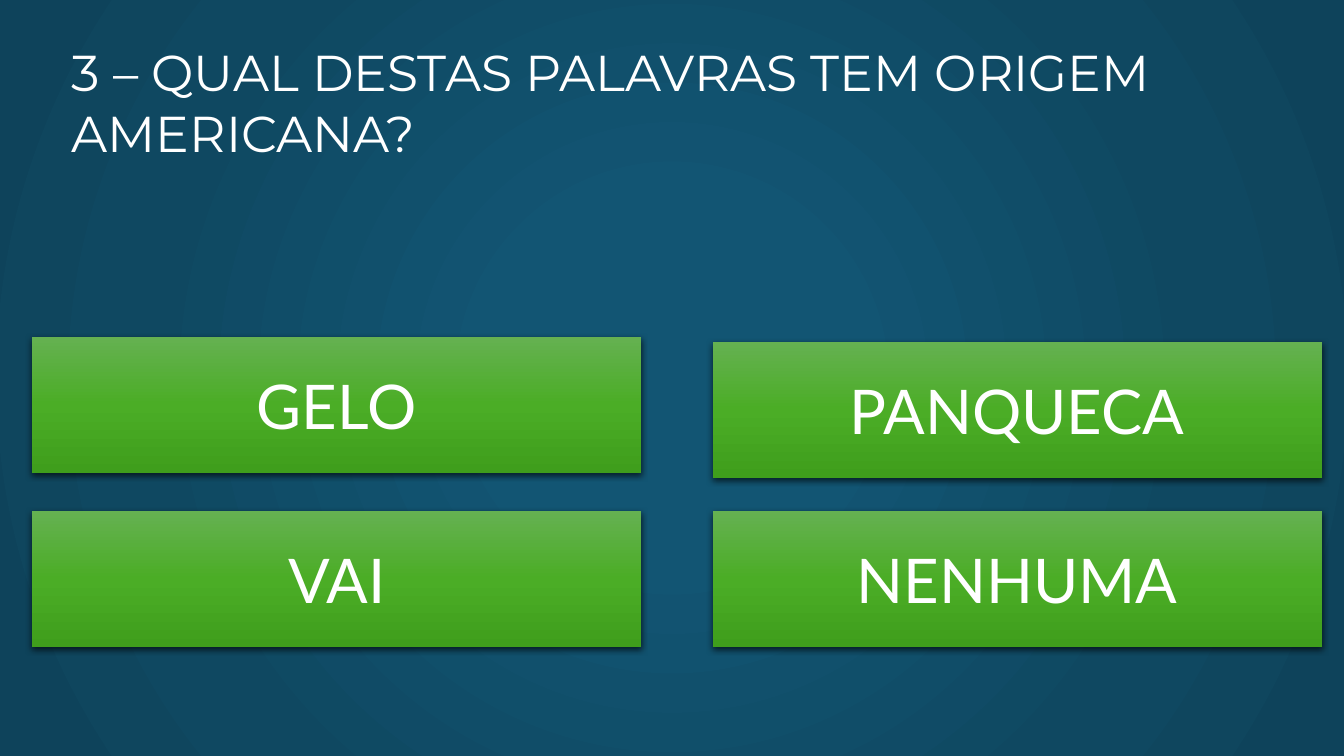
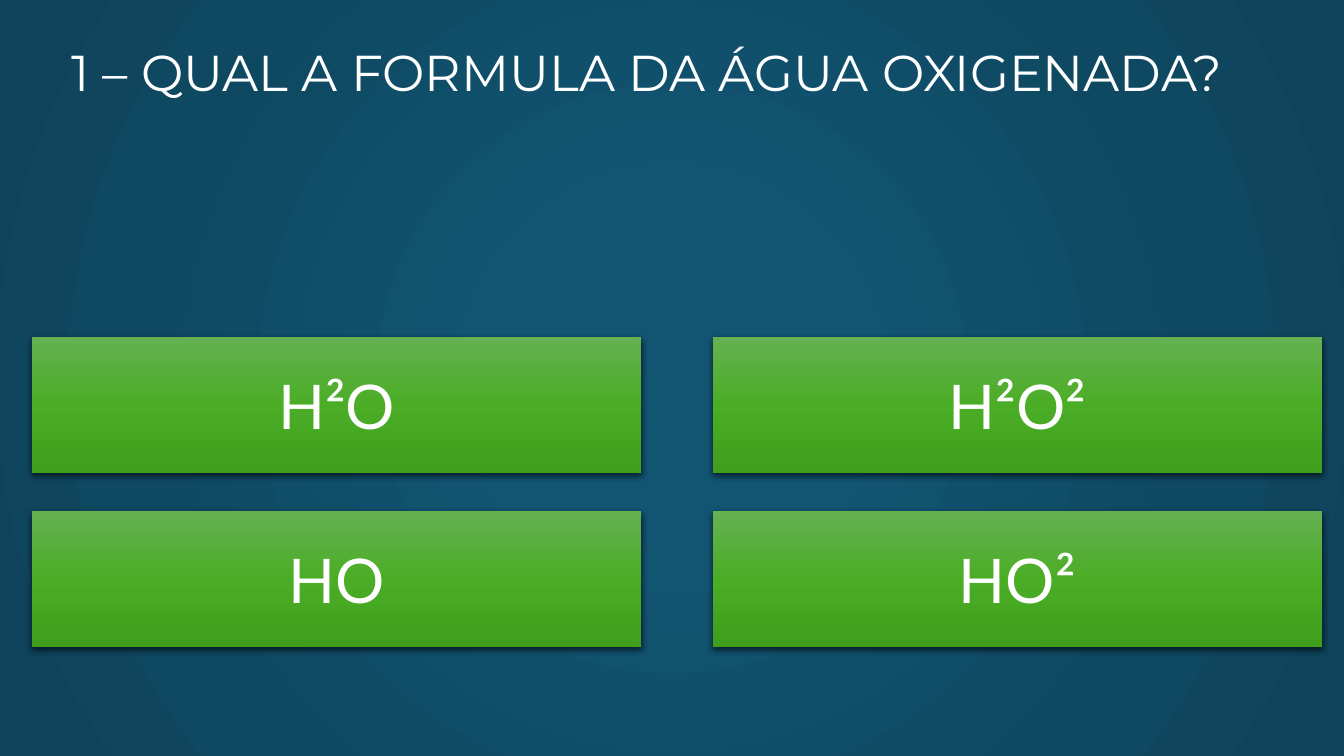
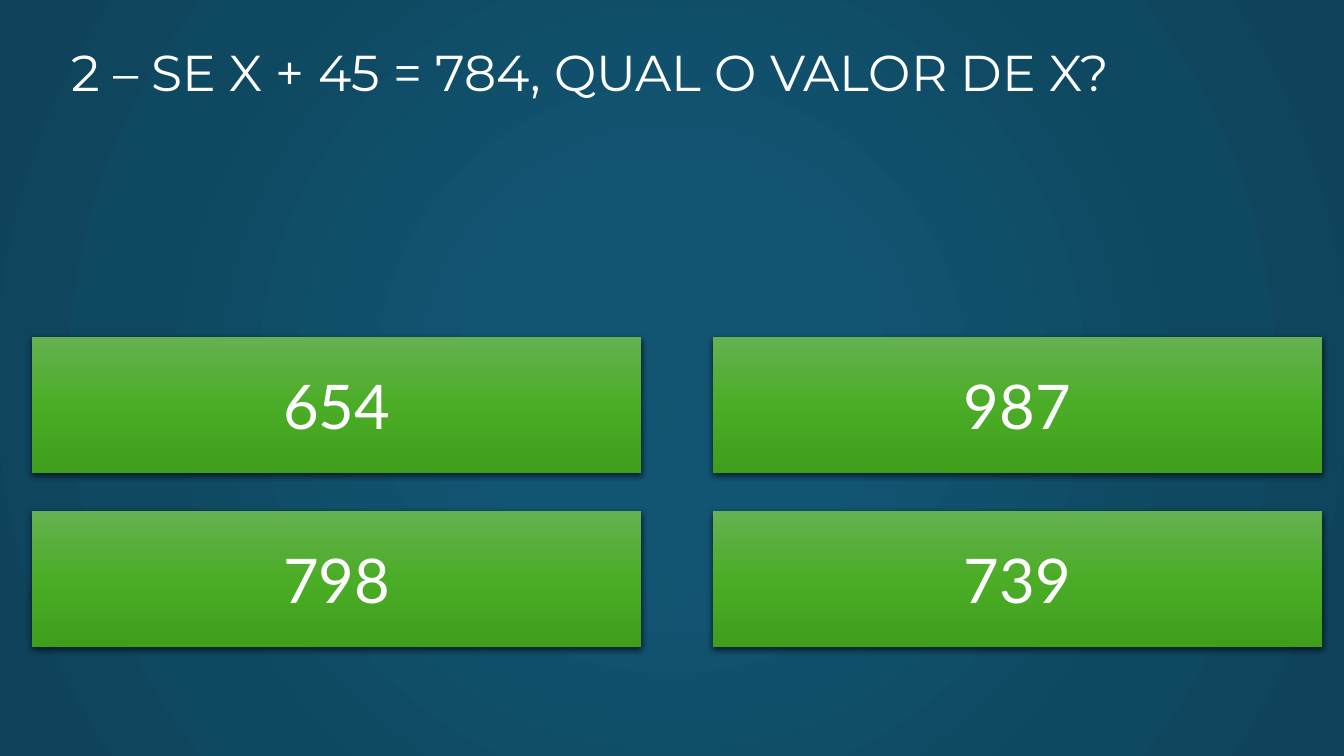
from dataclasses import dataclass

import pptx
import pptx.dml.color
import pptx.enum.shapes
import pptx.enum.text
import pptx.oxml
import pptx.oxml.ns
import pptx.presentation
import pptx.slide
import pptx.util

Inches = pptx.util.Inches
Pt = pptx.util.Pt

# Shared style
COLORS = {
    "text": "FFFFFF",
    "shadow": "000000",
    "back_center": "125573",
    "back_middle": "0F4861",
    "back_edge": "0E435B",
    "button_top": "65B151",
    "button_middle": "4BAD26",
    "button_bottom": "3F9E1C",
}
TITLE_FONT, TITLE_SIZE = "Montserrat", 36
BUTTON_FONT, BUTTON_SIZE = "Lato", 44

BACKGROUND_STOPS = [
    (0, "back_center"), (23, "back_center"), (69, "back_middle"),
    (97, "back_edge"), (100, "back_edge"),
]
BACKGROUND_DIRECTION = (
    '<a:path path="circle"><a:fillToRect l="50000" t="50000" r="50000" b="50000"/></a:path>'
)
BUTTON_STOPS = [(0, "button_top"), (50, "button_middle"), (100, "button_bottom")]
BUTTON_DIRECTION = '<a:lin ang="5400000" scaled="0"/>'

# Button grid, in inches
GRID_LEFT, GRID_TOP = 0.32, 3.34
COLUMN_STEP, ROW_STEP = 6.75, 1.73
BUTTON_WIDTH, BUTTON_HEIGHT = 6.04, 1.35


@dataclass
class Question:
    title: str
    answers: tuple[str, str, str, str]  # row by row
    title_lines: int = 1
    top_right_drop: float = 0.0


QUESTIONS = [
    Question("3 – QUAL DESTAS PALAVRAS TEM ORIGEM AMERICANA?",
             ("GELO", "PANQUECA", "VAI", "NENHUMA"), title_lines=2, top_right_drop=0.05),
    Question("1 – QUAL A FORMULA DA ÁGUA OXIGENADA?", ("H²O", "H²O²", "HO", "HO²")),
    Question("2 – SE X + 45 = 784, QUAL O VALOR DE X?", ("654", "987", "798", "739")),
]


def set_gradient(properties, stops: list[tuple[int, str]], direction: str) -> None:
    """Replace the empty fill of a properties element by a gradient."""
    stop_xml = "".join(
        f'<a:gs pos="{position * 1000}"><a:srgbClr val="{COLORS[name]}"/></a:gs>'
        for position, name in stops
    )
    gradient = pptx.oxml.parse_xml(
        f'<a:gradFill {pptx.oxml.ns.nsdecls("a")} rotWithShape="1">'
        f"<a:gsLst>{stop_xml}</a:gsLst>{direction}</a:gradFill>"
    )
    properties.replace(properties.find(pptx.oxml.ns.qn("a:noFill")), gradient)


def add_shadow(shape) -> None:
    shape.shadow.inherit = False
    effects = shape._element.spPr.find(pptx.oxml.ns.qn("a:effectLst"))
    effects.append(pptx.oxml.parse_xml(
        f'<a:outerShdw {pptx.oxml.ns.nsdecls("a")} blurRad="{Pt(4.5)}" dist="{Pt(1.5)}" '
        f'dir="5400000" algn="ctr" rotWithShape="0"><a:srgbClr val="{COLORS["shadow"]}">'
        '<a:alpha val="63000"/></a:srgbClr></a:outerShdw>'
    ))


def format_text(paragraph, font_name: str, size: int, alignment) -> None:
    paragraph.alignment = alignment
    paragraph.font.name = font_name
    paragraph.font.size = Pt(size)
    paragraph.font.color.rgb = pptx.dml.color.RGBColor.from_string(COLORS["text"])


def set_background(master: pptx.slide.SlideMaster) -> None:
    master.background.fill.background()
    properties = master._element.cSld.find(".//" + pptx.oxml.ns.qn("p:bgPr"))
    set_gradient(properties, BACKGROUND_STOPS, BACKGROUND_DIRECTION)


def set_title(slide: pptx.slide.Slide, question: Question) -> None:
    title = slide.shapes.title
    title.left, title.top = Inches(0.61), Inches(0.36)
    title.width, title.height = Inches(11.91), Inches(0.11 + 0.6 * question.title_lines)
    frame = title.text_frame
    frame.text = question.title
    frame.word_wrap = True
    frame.auto_size = pptx.enum.text.MSO_AUTO_SIZE.SHAPE_TO_FIT_TEXT
    frame.vertical_anchor = pptx.enum.text.MSO_ANCHOR.TOP
    format_text(frame.paragraphs[0], TITLE_FONT, TITLE_SIZE, pptx.enum.text.PP_ALIGN.LEFT)


def add_button(slide: pptx.slide.Slide, text: str, left: float, top: float) -> None:
    button = slide.shapes.add_shape(
        pptx.enum.shapes.MSO_SHAPE.RECTANGLE,
        Inches(left), Inches(top), Inches(BUTTON_WIDTH), Inches(BUTTON_HEIGHT),
    )
    button.fill.background()
    set_gradient(button._element.spPr, BUTTON_STOPS, BUTTON_DIRECTION)
    button.line.fill.background()
    add_shadow(button)
    frame = button.text_frame
    frame.text = text
    frame.vertical_anchor = pptx.enum.text.MSO_ANCHOR.MIDDLE
    format_text(frame.paragraphs[0], BUTTON_FONT, BUTTON_SIZE, pptx.enum.text.PP_ALIGN.CENTER)


def add_question(presentation: pptx.presentation.Presentation, question: Question) -> None:
    slide = presentation.slides.add_slide(presentation.slide_layouts.get_by_name("Title Only"))
    set_title(slide, question)
    for index, answer in enumerate(question.answers):
        row, column = divmod(index, 2)
        drop = question.top_right_drop if (row, column) == (0, 1) else 0
        add_button(slide, answer, GRID_LEFT + column * COLUMN_STEP,
                   GRID_TOP + row * ROW_STEP + drop)


def main() -> None:
    presentation = pptx.Presentation()
    presentation.slide_width, presentation.slide_height = Inches(13.33), Inches(7.5)
    set_background(presentation.slide_master)
    for question in QUESTIONS:
        add_question(presentation, question)
    presentation.save("out.pptx")


if __name__ == "__main__":
    main()
